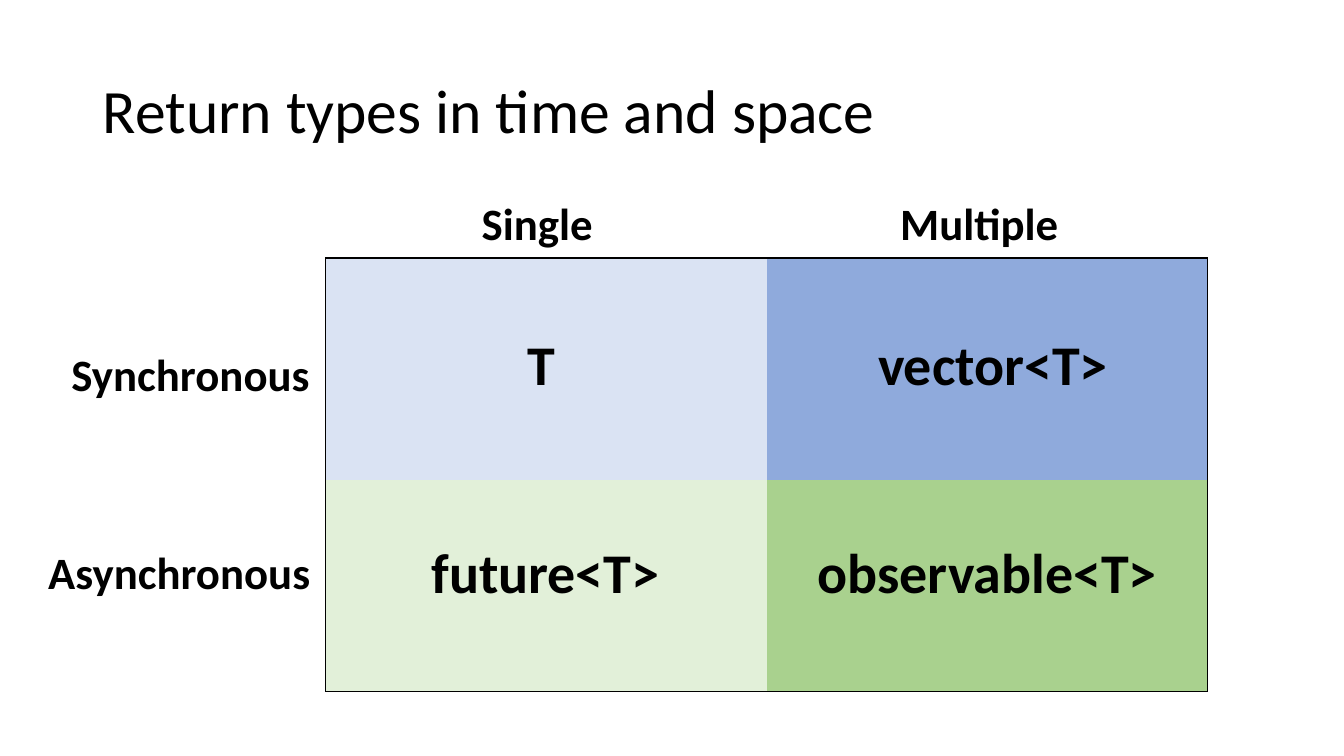
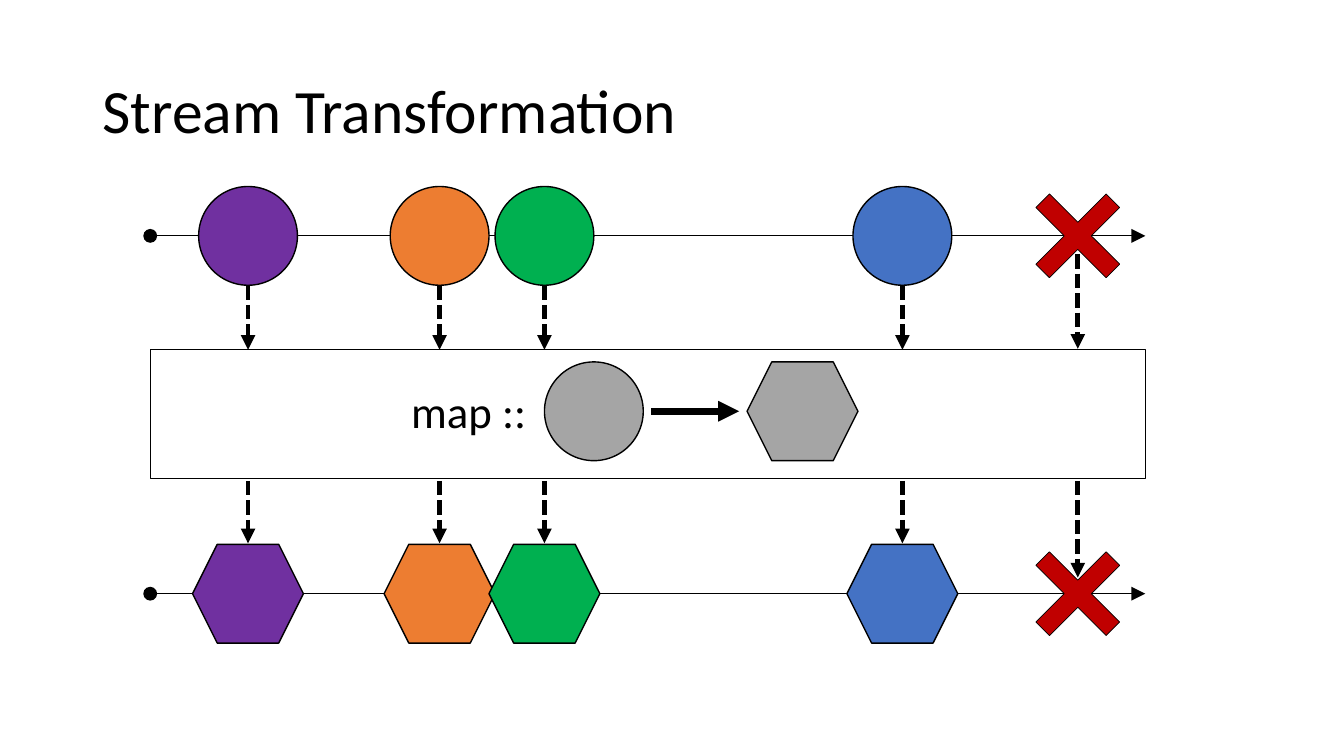
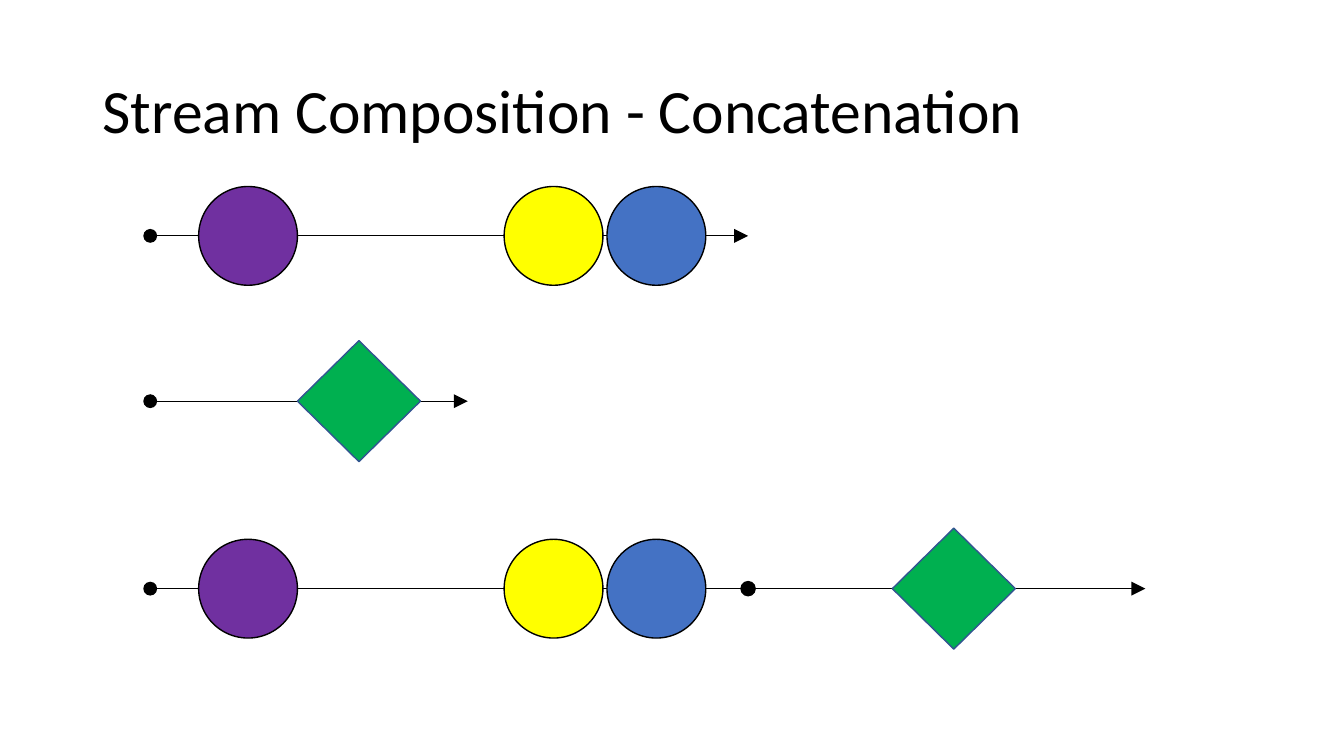
"""Build three slides about return types and reactive streams."""
from dataclasses import dataclass

from lxml.etree import SubElement
from pptx import Presentation
from pptx.dml.color import RGBColor
from pptx.enum.dml import MSO_LINE
from pptx.enum.shapes import MSO_CONNECTOR, MSO_SHAPE
from pptx.enum.text import MSO_ANCHOR, MSO_AUTO_SIZE
from pptx.oxml.ns import qn
from pptx.util import Emu, Pt

EMU_PER_PX = 9144


@dataclass(frozen=True)
class Theme:
    font: str = "Calibri"
    title_size: int = 44
    type_size: int = 40
    label_size: int = 32
    outline: float = 1
    axis_width: float = 0.5
    drop_width: float = 3.5
    mapping_width: float = 5
    black: str = "000000"
    purple: str = "7030A0"
    orange: str = "ED7D31"
    green: str = "00B050"
    blue: str = "4472C4"
    yellow: str = "FFFF00"
    red: str = "C00000"
    gray: str = "A5A5A5"
    navy: str = "325491"
    no_grid_table: str = "{2D5ABB26-0587-4C30-8999-92F81FD0307C}"


THEME = Theme()

TITLE_BOX = (92, 40, 1150, 145)
TITLES = (
    "Return types in time and space",
    "Stream Transformation",
    "Stream Composition - Concatenation",
)

MATRIX_BOX = (323, 256, 875, 430)
MATRIX_ROW_HEIGHTS = (220, 210)
MATRIX_FILLS = (("DAE3F3", "8FAADC"), ("E2F0D9", "A9D18E"))
MATRIX_LABELS = (
    ("Synchronous", (61, 339, 260, 64)),
    ("Asynchronous", (38, 535, 286, 64)),
    ("Single", (468, 189, 136, 64)),
    ("Multiple", (883, 189, 178, 64)),
)
MATRIX_TYPES = (
    ("T", (513, 322, 47, 77)),
    ("future<T>", (418, 528, 253, 77)),
    ("observable<T>", (801, 528, 364, 77)),
    ("vector<T>", (861, 322, 251, 77)),
)

MARKERS = {
    "circle": (MSO_SHAPE.OVAL, 98, 98, THEME.outline, THEME.black),
    "hexagon": (MSO_SHAPE.HEXAGON, 110, 98, THEME.outline, THEME.black),
    "diamond": (MSO_SHAPE.DIAMOND, 122, 120, THEME.outline, THEME.navy),
    "cross": (MSO_SHAPE.MATH_MULTIPLY, 134, 134, THEME.axis_width, THEME.black),
    "dot": (MSO_SHAPE.OVAL, 14, 14, THEME.outline, THEME.black),
}
CROSS_THICKNESS = 0.142

STREAM_LEFT, STREAM_RIGHT = 149, 1136
INPUT_Y, OPERATOR_Y, OUTPUT_Y = 234, 408, 589
OPERATOR_BOX = (STREAM_LEFT, 347, STREAM_RIGHT - STREAM_LEFT, 128)
OPERATOR_LABEL = ("map ::", (398, 376, 141, 64))
EVENTS = (
    (246, THEME.purple),
    (436, THEME.orange),
    (540, THEME.green),
    (895, THEME.blue),
)
ERROR_X = 1069
EVENT_DROPS = ((283, 347), (477, 539))
ERROR_DROPS = ((252, 346), (477, 573))

FIRST_STREAM = (
    ("circle", 246, THEME.purple),
    ("circle", 549, THEME.yellow),
    ("circle", 651, THEME.blue),
)
JOIN_X = 742
CONCATENATION = (
    (234, JOIN_X, FIRST_STREAM),
    (398, 464, (("diamond", 356, THEME.green),)),
    (584, STREAM_RIGHT, FIRST_STREAM + (
        ("diamond", 946, THEME.green),
        ("dot", JOIN_X, THEME.black),
    )),
)


def px(*lengths):
    return [Emu(length * EMU_PER_PX) for length in lengths]


def color(value):
    return RGBColor.from_string(value)


def add_text(slide, text, box, size, bold=False):
    shape = slide.shapes.add_textbox(*px(*box))
    frame = shape.text_frame
    frame.word_wrap = False
    frame.auto_size = MSO_AUTO_SIZE.SHAPE_TO_FIT_TEXT
    paragraph = frame.paragraphs[0]
    paragraph.text = text
    font = paragraph.font
    font.name, font.size, font.bold = THEME.font, Pt(size), bold
    font.color.rgb = color(THEME.black)
    return frame


def add_title_slide(presentation, title):
    slide = presentation.slides.add_slide(presentation.slide_layouts[6])
    frame = add_text(slide, title, TITLE_BOX, THEME.title_size)
    frame.word_wrap = True
    frame.auto_size = MSO_AUTO_SIZE.NONE
    frame.vertical_anchor = MSO_ANCHOR.MIDDLE
    frame.paragraphs[0].line_spacing = 0.9
    return slide


def add_outlined(slide, preset, box, fill, line_width, line_color):
    shape = slide.shapes.add_shape(preset, *px(*box))
    shape.shadow.inherit = False
    if fill:
        shape.fill.solid()
        shape.fill.fore_color.rgb = color(fill)
    else:
        shape.fill.background()
    shape.line.width = Pt(line_width)
    shape.line.color.rgb = color(line_color)
    return shape


def add_marker(slide, kind, center_x, center_y, fill):
    preset, width, height, line_width, line_color = MARKERS[kind]
    box = (center_x - width / 2, center_y - height / 2, width, height)
    shape = add_outlined(slide, preset, box, fill, line_width, line_color)
    if kind == "cross":
        shape.adjustments[0] = CROSS_THICKNESS


def add_arrow(slide, start, end, width, head=None, dash=None, tip="med"):
    arrow = slide.shapes.add_connector(MSO_CONNECTOR.STRAIGHT, *px(*start, *end))
    arrow.line.width = Pt(width)
    arrow.line.color.rgb = color(THEME.black)
    if dash:
        arrow.line.dash_style = dash
    properties = arrow.element.spPr
    line = properties.find(qn("a:ln"))
    if head:
        SubElement(line, qn("a:headEnd"), type=head, w=tip, len=tip)
    SubElement(line, qn("a:tailEnd"), type="triangle", w=tip, len=tip)
    SubElement(properties, qn("a:effectLst"))


def add_axis(slide, y, right):
    add_arrow(slide, (STREAM_LEFT, y), (right, y), THEME.axis_width,
              head="oval", tip="lg")


def add_drops(slide, x, spans):
    for top, bottom in spans:
        add_arrow(slide, (x, top), (x, bottom), THEME.drop_width,
                  dash=MSO_LINE.SQUARE_DOT)


def add_border(cell, side):
    properties = cell._tc.get_or_add_tcPr()
    line = SubElement(properties, qn(f"a:ln{side}"), w=str(Pt(THEME.outline)))
    fill = SubElement(line, qn("a:solidFill"))
    SubElement(fill, qn("a:srgbClr"), val=THEME.black)


def add_matrix(slide):
    frame = slide.shapes.add_table(2, 2, *px(*MATRIX_BOX))
    table = frame.table
    table.first_row = table.horz_banding = False
    next(frame.element.iter(qn("a:tableStyleId"))).text = THEME.no_grid_table
    for row, height in zip(table.rows, px(*MATRIX_ROW_HEIGHTS)):
        row.height = height
    for row, fills in enumerate(MATRIX_FILLS):
        for column, fill in enumerate(fills):
            cell = table.cell(row, column)
            add_border(cell, "LR"[column])
            add_border(cell, "TB"[row])
            cell.fill.solid()
            cell.fill.fore_color.rgb = color(fill)


def build_return_types(slide):
    add_matrix(slide)
    for text, box in MATRIX_LABELS:
        add_text(slide, text, box, THEME.label_size, bold=True)
    for text, box in MATRIX_TYPES:
        add_text(slide, text, box, THEME.type_size, bold=True)


def build_transformation(slide):
    for kind, y in (("circle", INPUT_Y), ("hexagon", OUTPUT_Y)):
        add_axis(slide, y, STREAM_RIGHT)
        add_marker(slide, "cross", ERROR_X, y, THEME.red)
        for x, fill in EVENTS:
            add_marker(slide, kind, x, y, fill)
    add_text(slide, *OPERATOR_LABEL, THEME.label_size)
    add_marker(slide, "circle", 589, OPERATOR_Y, THEME.gray)
    add_arrow(slide, (646, OPERATOR_Y), (733, OPERATOR_Y), THEME.mapping_width)
    add_marker(slide, "hexagon", 796, OPERATOR_Y, THEME.gray)
    add_outlined(slide, MSO_SHAPE.RECTANGLE, OPERATOR_BOX, None,
                 THEME.outline, THEME.black)
    for x, _ in EVENTS:
        add_drops(slide, x, EVENT_DROPS)
    add_drops(slide, ERROR_X, ERROR_DROPS)


def build_concatenation(slide):
    for y, right, markers in CONCATENATION:
        add_axis(slide, y, right)
        for kind, x, fill in markers:
            add_marker(slide, kind, x, y, fill)


def main():
    presentation = Presentation()
    presentation.slide_width, presentation.slide_height = px(1333, 750)
    builders = (build_return_types, build_transformation, build_concatenation)
    for title, build in zip(TITLES, builders):
        build(add_title_slide(presentation, title))
    presentation.save("out.pptx")


if __name__ == "__main__":
    main()
